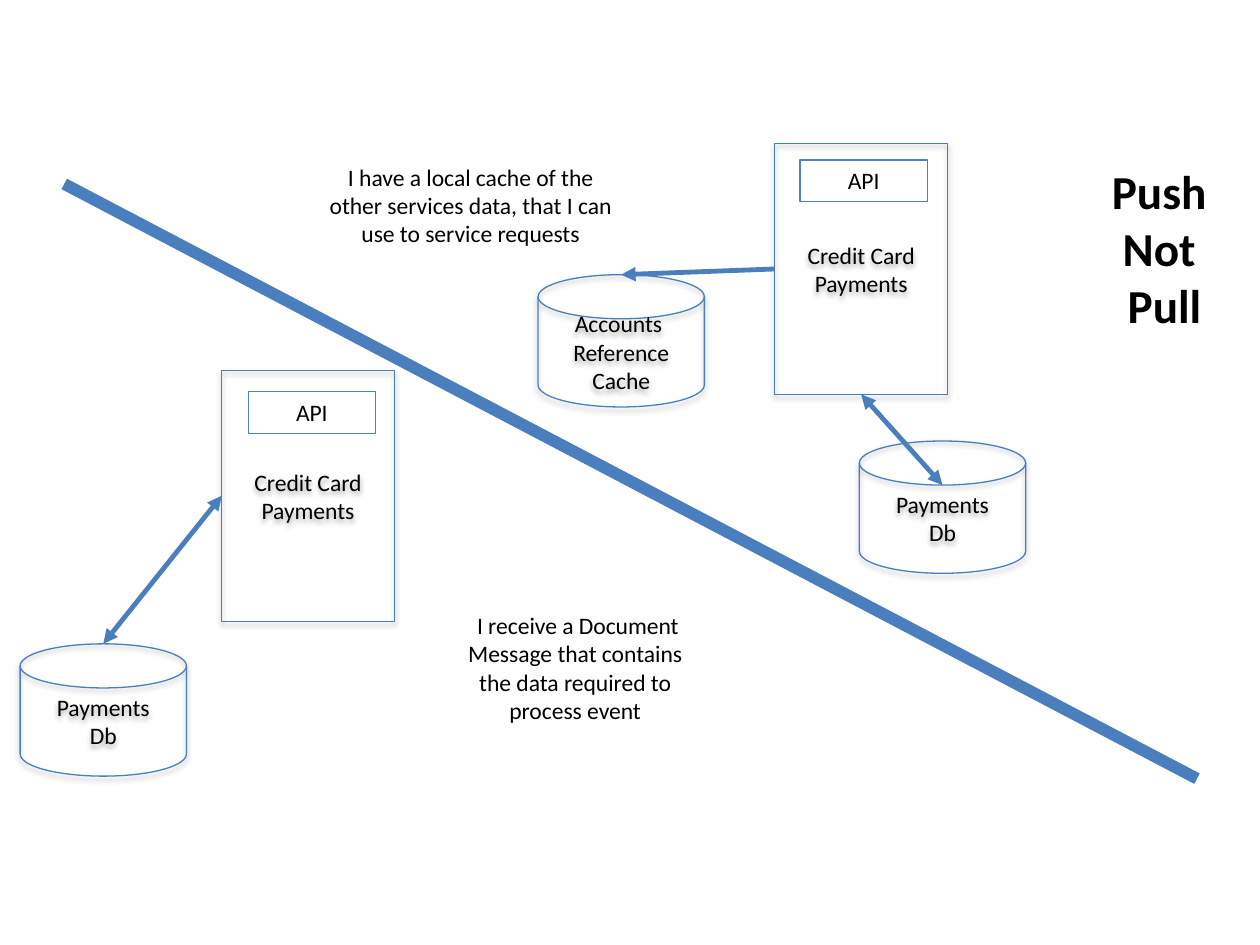
from lxml import etree
from pptx import Presentation
from pptx import util as u
from pptx.dml.color import RGBColor
from pptx.enum import shapes, text
from pptx.oxml import parse_xml
from pptx.oxml.ns import qn

THEME = {
    "font": "Calibri", "ink": "000000", "line": "4B7EBC", "api_line": "4F81BD",
    "body": 13.5, "heading": 27,
    "outline": 0.75, "arrow": 2.75, "divider": 6.75,
}
SERVICE_SIZE = (1.37, 1.99)
STORE_SIZE = (1.32, 1.05)
API_SIZE = (1.01, 0.33)

SERVICE_LINES = ["Credit Card", "Payments"]
DB_LINES = ["Payments", "Db"]
# (left, top), API box (left, top)
SERVICES = {
    "pull": ((6.15, 1.14), (6.35, 1.27)),
    "push": ((1.76, 2.94), (1.97, 3.11)),
}
STORES = {
    "cache": ((4.27, 2.18), ["Accounts ", "Reference", "Cache"]),
    "push_db": ((0.16, 5.11), DB_LINES),
    "pull_db": ((6.82, 3.5), DB_LINES),
}
# left, top, width, height, lines, type size, bold
NOTES = [
    (3.53, 4.8, 2.07, 1.01,
     [" I receive a Document Message that contains the data required to process event"],
     "body", False),
    (2.47, 1.24, 2.53, 0.78,
     ["I have a local cache of the other services data, that I can use to service requests"],
     "body", False),
    (8.46, 1.24, 1.48, 1.46, ["Push", "Not", " Pull"], "heading", True),
]
DIVIDER = ((0.51, 1.46), (9.5, 6.18))

SHADOW = (
    '<a:effectLst xmlns:a="http://schemas.openxmlformats.org/drawingml/2006/main">'
    '<a:outerShdw blurRad="40000" dist="23000" dir="5400000" rotWithShape="0">'
    '<a:srgbClr val="000000"><a:alpha val="35000"/></a:srgbClr>'
    '</a:outerShdw></a:effectLst>'
)


def color(name):
    return RGBColor.from_string(THEME[name])


def write(shape, lines, size="body", bold=False, anchor=text.MSO_ANCHOR.TOP):
    frame = shape.text_frame
    frame.word_wrap = True
    frame.vertical_anchor = anchor
    for index, line in enumerate(lines):
        paragraph = frame.add_paragraph() if index else frame.paragraphs[0]
        paragraph.alignment = text.PP_ALIGN.CENTER
        run = paragraph.add_run()
        run.text = line
        run.font.name = THEME["font"]
        run.font.size = u.Pt(THEME[size])
        run.font.bold = bold
        run.font.color.rgb = color("ink")


def add_box(slide, kind, place, size, lines, line="line", shadow=True,
            anchor=text.MSO_ANCHOR.MIDDLE):
    box = slide.shapes.add_shape(kind, *map(u.Inches, place + size))
    box.fill.background()
    box.line.color.rgb = color(line)
    box.line.width = u.Pt(THEME["outline"])
    box.shadow.inherit = False
    if shadow:
        properties = box._element.spPr
        properties.replace(properties.find(qn("a:effectLst")), parse_xml(SHADOW))
    write(box, lines, anchor=anchor)


def add_line(slide, start, end, width, arrowheads=()):
    """Draw a line; arrowheads lists headEnd (start) and tailEnd (end) as wanted."""
    line = slide.shapes.add_connector(
        shapes.MSO_CONNECTOR.STRAIGHT, *map(u.Inches, start + end))
    line.line.color.rgb = color("line")
    line.line.width = u.Pt(THEME[width])
    outline = line.line._get_or_add_ln()
    for arrowhead in arrowheads:
        etree.SubElement(outline, qn("a:" + arrowhead), type="triangle")
    etree.SubElement(line._element.spPr, qn("a:effectLst"))


def service_point(name, across, down):
    """Point on a service box, given as shares of its width and height."""
    (left, top), _ = SERVICES[name]
    return left + across * SERVICE_SIZE[0], top + down * SERVICE_SIZE[1]


def store_point(name, down=0):
    (left, top), _ = STORES[name]
    return left + STORE_SIZE[0] / 2, top + down * STORE_SIZE[1]


def main():
    deck = Presentation()
    deck.slide_width, deck.slide_height = u.Inches(10), u.Inches(7.5)
    slide = deck.slides.add_slide(deck.slide_layouts[6])

    add_line(slide, *DIVIDER, "divider")
    for place, lines in STORES.values():
        add_box(slide, shapes.MSO_SHAPE.FLOWCHART_MAGNETIC_DISK, place, STORE_SIZE, lines)
    for place, api_place in SERVICES.values():
        add_box(slide, shapes.MSO_SHAPE.RECTANGLE, place, SERVICE_SIZE, SERVICE_LINES)
        add_box(slide, shapes.MSO_SHAPE.RECTANGLE, api_place, API_SIZE, ["API"],
                "api_line", shadow=False, anchor=text.MSO_ANCHOR.TOP)

    both = ("headEnd", "tailEnd")
    add_line(slide, service_point("push", 0, 0.5), store_point("push_db"), "arrow", both)
    add_line(slide, service_point("pull", 0.5, 1), store_point("pull_db", 1 / 3), "arrow", both)
    add_line(slide, store_point("cache"), service_point("pull", 0, 0.5), "arrow", both[:1])

    for left, top, width, height, lines, size, bold in NOTES:
        note = slide.shapes.add_textbox(*map(u.Inches, (left, top, width, height)))
        write(note, lines, size, bold)

    deck.save("out.pptx")


if __name__ == "__main__":
    main()
